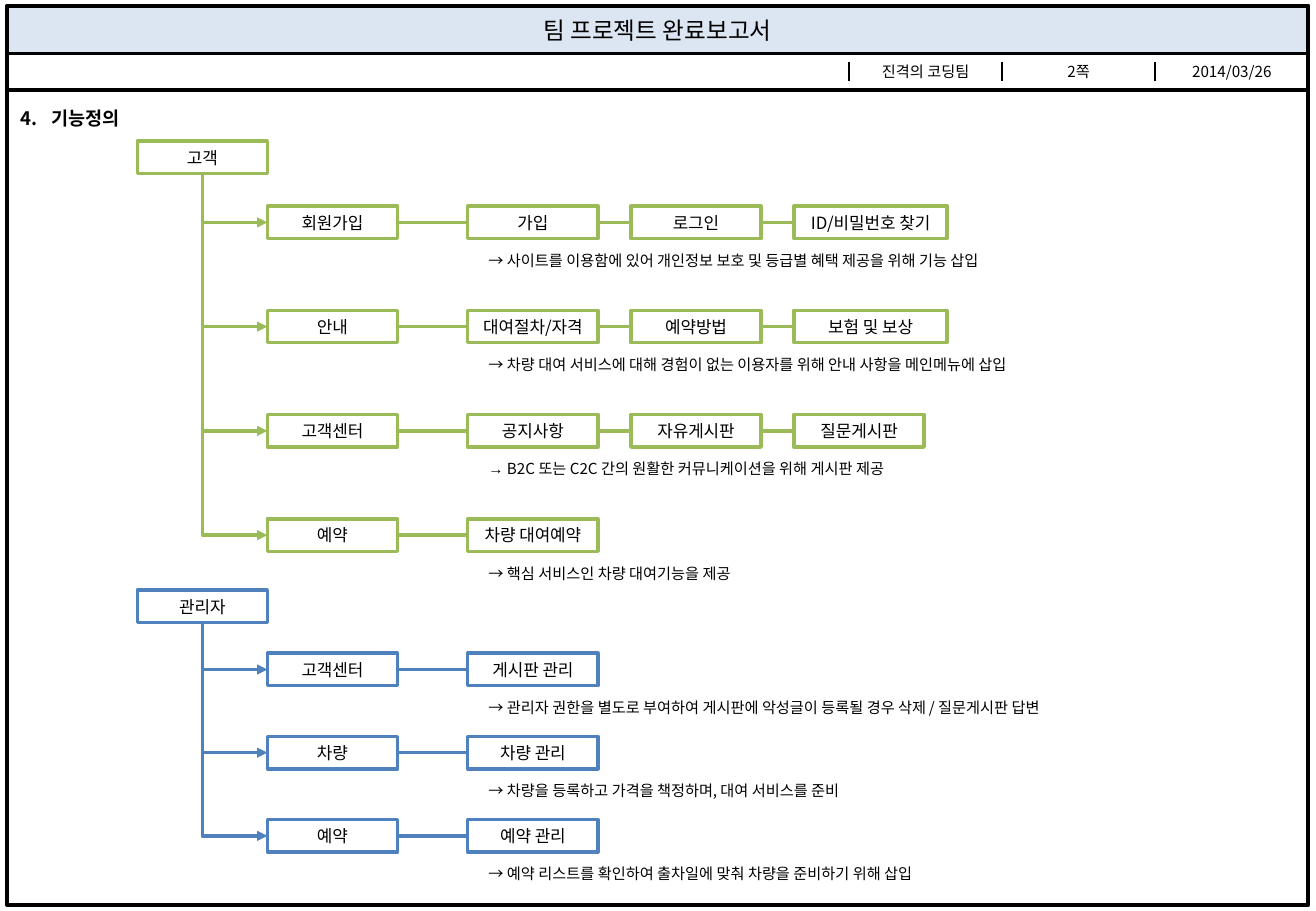
from dataclasses import dataclass

from lxml import etree
from pptx import Presentation
from pptx import util as u
from pptx.dml.color import RGBColor
from pptx.enum import shapes, text
from pptx.oxml.ns import qn

TITLE = "팀 프로젝트 완료보고서"
HEADER_CELLS = ["진격의 코딩팀", "2쪽", "2014/03/26"]
HEADING = "기능정의"
HEADING_NUMBER = 4
CUSTOMER_ROWS = [
    (["회원가입", "가입", "로그인", "ID/비밀번호 찾기"],
     "사이트를 이용함에 있어 개인정보 보호 및 등급별 혜택 제공을 위해 기능 삽입"),
    (["안내", "대여절차/자격", "예약방법", "보험 및 보상"],
     "차량 대여 서비스에 대해 경험이 없는 이용자를 위해 안내 사항을 메인메뉴에 삽입"),
    (["고객센터", "공지사항", "자유게시판", "질문게시판"],
     "B2C 또는 C2C 간의 원활한 커뮤니케이션을 위해 게시판 제공"),
    (["예약", "차량 대여예약"], "핵심 서비스인 차량 대여기능을 제공"),
]
MANAGER_ROWS = [
    (["고객센터", "게시판 관리"],
     "관리자 권한을 별도로 부여하여 게시판에 악성글이 등록될 경우 삭제 / 질문게시판 답변"),
    (["차량", "차량 관리"], "차량을 등록하고 가격을 책정하며, 대여 서비스를 준비"),
    (["예약", "예약 관리"], "예약 리스트를 확인하여 출차일에 맞춰 차량을 준비하기 위해 삽입"),
]
WIDE_LABELS = {"ID/비밀번호 찾기", "보험 및 보상"}


@dataclass(frozen=True)
class Theme:
    font: str = "Noto Sans CJK KR"
    arrow_font: str = "Arial"
    ink: str = "000000"
    band: str = "DCE6F2"
    customer: str = "9BBB59"
    manager: str = "4F81BD"
    title: int = 14
    heading: int = 11
    box: int = 10
    small: int = 9
    frame_line: float = 2.25
    box_line: float = 2
    divider_line: float = 1


THEME = Theme()
GROUPS = [
    ("고객", CUSTOMER_ROWS, THEME.customer, 2.95, 4.31, 2.18),
    ("관리자", MANAGER_ROWS, THEME.manager, 12.34, 13.66, 1.74),
]
FRAME_LEFT, FRAME_TOP, FRAME_WIDTH, FRAME_HEIGHT = 0.15, 0.13, 27.2, 18.8
BAND_HEIGHT, HEADER_BOTTOM = 0.99, 1.88
DIVIDER_LEFT, CELL_WIDTH = 17.75, 3.2
ROOT_LEFT, BRANCH_LEFT, STEP_LEFT, STEP_PITCH = 2.87, 5.59, 9.78, 3.41
BOX_WIDTH, WIDE_WIDTH, BOX_HEIGHT = 2.72, 3.2, 0.68
NOTE_LEFT, NOTE_WIDTH, NOTE_HEIGHT, NOTE_DROP = 9.96, 14.5, 0.63, 0.82


def write_text(shape, content, size=THEME.small, bold=False, arrow=False, margin=0.25,
               align=text.PP_ALIGN.CENTER, anchor=text.MSO_ANCHOR.MIDDLE):
    frame = shape.text_frame
    frame.word_wrap = True
    frame.auto_size = text.MSO_AUTO_SIZE.NONE
    frame.vertical_anchor = anchor
    frame.margin_left = frame.margin_right = u.Cm(margin)
    frame.margin_top = frame.margin_bottom = u.Cm(0.13)
    paragraph = frame.paragraphs[0]
    paragraph.alignment = align
    paragraph.space_before = u.Pt(0)
    pieces = [("→", THEME.arrow_font), (" " + content, THEME.font)] if arrow else [(content, THEME.font)]
    for piece, font_name in pieces:
        run = paragraph.add_run()
        run.text = piece
        run.font.name = font_name
        etree.SubElement(run.font._element, qn("a:ea"), typeface=THEME.font)
        run.font.size = u.Pt(size)
        run.font.bold = bold
        run.font.color.rgb = RGBColor.from_string(THEME.ink)
    return paragraph


def set_line(item, color, width):
    item.line.color.rgb = RGBColor.from_string(color)
    item.line.width = u.Pt(width)


def place(shape, left, top, width, height):
    shape.left, shape.top = u.Cm(left), u.Cm(top)
    shape.width, shape.height = u.Cm(width), u.Cm(height)


def add_box(slide, left, top, width, height, color, line_width):
    box = slide.shapes.add_shape(shapes.MSO_SHAPE.RECTANGLE, u.Cm(left), u.Cm(top), u.Cm(width), u.Cm(height))
    box.shadow.inherit = False
    box.fill.background()
    set_line(box, color, line_width)
    return box


def add_node(slide, label, left, top, color):
    width = WIDE_WIDTH if label in WIDE_LABELS else BOX_WIDTH
    node = add_box(slide, left, top, width, BOX_HEIGHT, color, THEME.box_line)
    write_text(node, label, size=THEME.box, margin=0.13)
    return node


def add_textbox(slide, content, left, top, width, **text_format):
    box = slide.shapes.add_textbox(u.Cm(left), u.Cm(top), u.Cm(width), u.Cm(NOTE_HEIGHT))
    write_text(box, content, **text_format)


def add_line(slide, start, end, color, width):
    points = [u.Cm(value) for value in (*start, *end)]
    connector = slide.shapes.add_connector(shapes.MSO_CONNECTOR.STRAIGHT, *points)
    set_line(connector, color, width)
    etree.SubElement(connector.element.spPr, qn("a:effectLst"))
    return connector


def join(slide, first, second, color, first_side=3):
    connector = add_line(slide, (0, 0), (1, 1), color, THEME.box_line)
    connector.begin_connect(first, first_side)
    connector.end_connect(second, 1)
    return connector


def add_branch(slide, root, node, color):
    connector = join(slide, root, node, color, first_side=2)
    left, top = root.left + root.width // 2, root.top + root.height
    across, down = node.left - left, node.top + node.height // 2 - top
    connector.left, connector.top = left + (across - down) // 2, top + (down - across) // 2
    connector.width, connector.height = down, across
    properties = connector.element.spPr
    transform = properties.find(qn("a:xfrm"))
    transform.set("rot", "16200000")
    transform.set("flipH", "1")
    properties.find(qn("a:prstGeom")).set("prst", "bentConnector2")
    etree.SubElement(properties.find(qn("a:ln")), qn("a:tailEnd"), type="triangle")


def add_header(slide):
    add_box(slide, FRAME_LEFT, FRAME_TOP, FRAME_WIDTH, FRAME_HEIGHT, THEME.ink, THEME.frame_line)
    title = slide.shapes.title
    place(title, FRAME_LEFT, FRAME_TOP, FRAME_WIDTH, BAND_HEIGHT)
    title.fill.solid()
    title.fill.fore_color.rgb = RGBColor.from_string(THEME.band)
    set_line(title, THEME.ink, THEME.frame_line)
    write_text(title, TITLE, size=THEME.title)
    add_line(slide, (FRAME_LEFT, HEADER_BOTTOM), (FRAME_LEFT + FRAME_WIDTH, HEADER_BOTTOM),
             THEME.ink, THEME.frame_line)
    for index, cell in enumerate(HEADER_CELLS):
        left = DIVIDER_LEFT + index * CELL_WIDTH
        add_line(slide, (left, 1.3), (left, 1.7), THEME.ink, THEME.divider_line)
        add_textbox(slide, cell, left, 1.18, CELL_WIDTH)


def add_heading(slide):
    body = slide.placeholders[1]
    place(body, 0.18, HEADER_BOTTOM, 4.95, 1.1)
    paragraph = body.text_frame.paragraphs[0]
    properties = paragraph._p.get_or_add_pPr()
    properties.set("marL", str(u.Cm(0.64)))
    properties.set("indent", str(-u.Cm(0.64)))
    etree.SubElement(properties, qn("a:buFont"), typeface=THEME.font)
    etree.SubElement(properties, qn("a:buAutoNum"), type="arabicPeriod", startAt=str(HEADING_NUMBER))
    write_text(body, HEADING, size=THEME.heading, bold=True,
               align=text.PP_ALIGN.LEFT, anchor=text.MSO_ANCHOR.TOP)
    paragraph.line_spacing = 1.5


def add_group(slide, name, rows, color, root_top, first_top, pitch):
    root = add_node(slide, name, ROOT_LEFT, root_top, color)
    for index, (labels, note) in enumerate(rows):
        top = first_top + index * pitch
        previous = add_node(slide, labels[0], BRANCH_LEFT, top, color)
        add_branch(slide, root, previous, color)
        for step, label in enumerate(labels[1:]):
            node = add_node(slide, label, STEP_LEFT + step * STEP_PITCH, top, color)
            join(slide, previous, node, color)
            previous = node
        add_textbox(slide, note, NOTE_LEFT, top + NOTE_DROP, NOTE_WIDTH,
                    arrow=True, align=text.PP_ALIGN.LEFT)


def main():
    presentation = Presentation()
    presentation.slide_width, presentation.slide_height = u.Cm(27.51), u.Cm(19.05)
    slide = presentation.slides.add_slide(presentation.slide_layouts[1])
    add_header(slide)
    add_heading(slide)
    for group in GROUPS:
        add_group(slide, *group)
    presentation.save("out.pptx")


if __name__ == "__main__":
    main()
